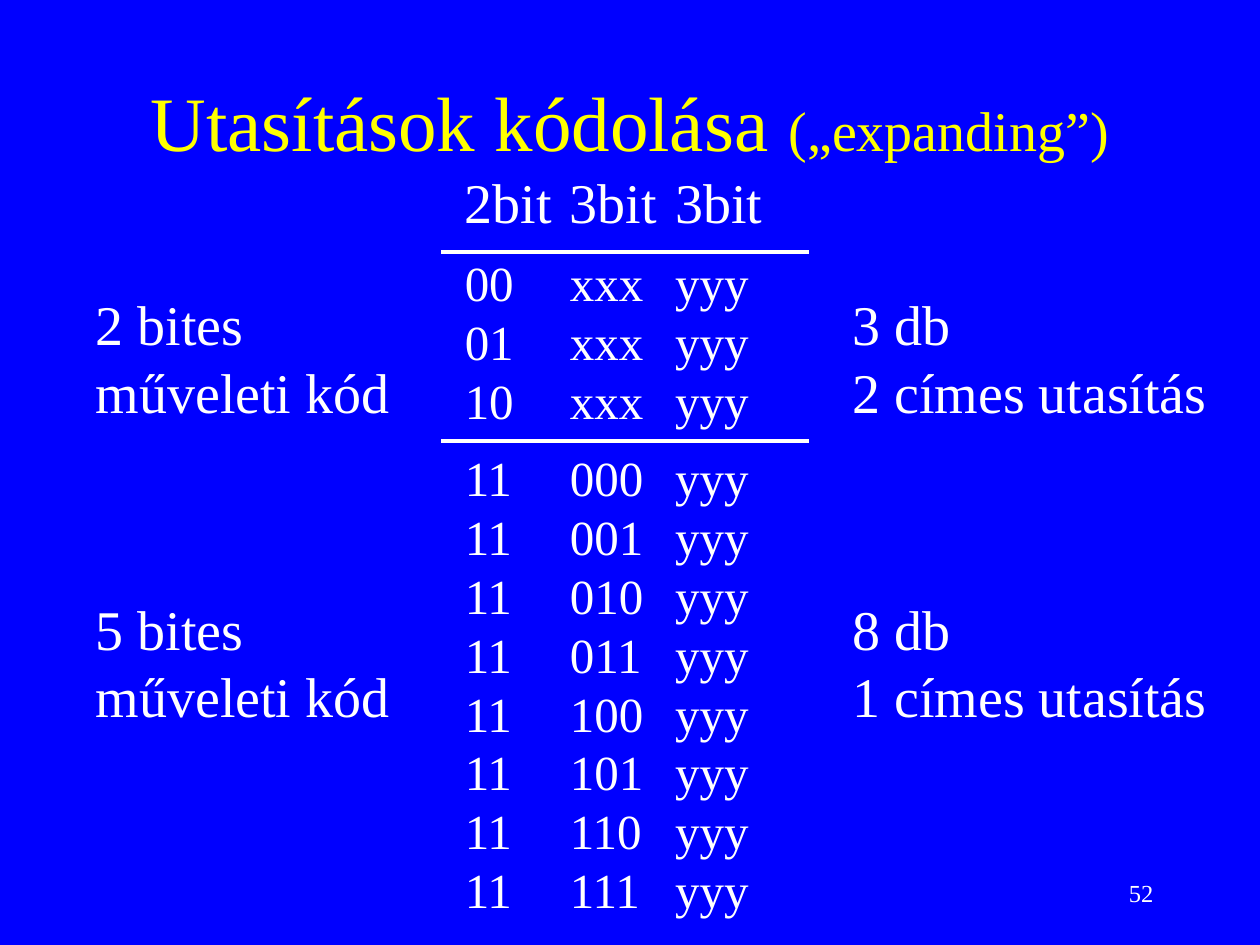
from lxml import etree
from pptx import Presentation
from pptx.dml.color import RGBColor
from pptx.enum.shapes import MSO_CONNECTOR as Connector
from pptx.enum.text import MSO_ANCHOR as Anchor, PP_ALIGN as Align
from pptx.oxml.ns import qn
from pptx.util import Cm, Pt

BLUE, YELLOW, WHITE = "0000FF", "FFFF00", "FFFFFF"
TAB_STEP = 2.12


def color(value):
    return RGBColor.from_string(value)


class SlideBuilder:
    font = "Times New Roman"

    def __init__(self, prs):
        self.s = prs.slides.add_slide(prs.slide_layouts[6])
        fill = self.s.background.fill
        fill.solid()
        fill.fore_color.rgb = color(BLUE)

    def text(self, box, paragraphs, ink=WHITE, align=Align.LEFT,
             anchor=Anchor.TOP, wrap=True, tabs=0, gaps=()):
        sp = self.s.shapes.add_textbox(*map(Cm, box))
        tf = sp.text_frame
        tf.word_wrap = wrap
        tf.vertical_anchor = anchor
        for i, runs in enumerate(paragraphs):
            p = tf.add_paragraph() if i else tf.paragraphs[0]
            p.alignment = align
            if tabs:
                self.tab_stops(p, tabs)
            if i in gaps:
                p.space_after = Pt(10.5)
            for words, size in runs:
                r = p.add_run()
                r.text = words
                r.font.name = self.font
                r.font.size = Pt(size)
                r.font.color.rgb = color(ink)

    def tab_stops(self, p, count):
        stops = etree.SubElement(p._p.get_or_add_pPr(), qn("a:tabLst"))
        for n in range(1, count + 1):
            etree.SubElement(stops, qn("a:tab"),
                             pos=str(int(Cm(n * TAB_STEP))), algn="l")

    def label(self, left, top, width, lines):
        self.text((left, top, width, 2.97), [[(line, 32)] for line in lines],
                  wrap=False)

    def rule(self, left, right, y):
        line = self.s.shapes.add_connector(
            Connector.STRAIGHT, Cm(left), Cm(y), Cm(right), Cm(y))
        line.line.color.rgb = color(WHITE)
        line.line.width = Pt(2.25)
        etree.SubElement(line._element.spPr, qn("a:effectLst"))


def main():
    prs = Presentation()
    prs.slide_width, prs.slide_height = Cm(25.4), Cm(19.05)
    slide = SlideBuilder(prs)

    slide.text((1.9, 0.85, 21.6, 3.18),
               [[("Utasítások kódolása ", 44), ("(„expanding”)", 32)]],
               ink=YELLOW, align=Align.CENTER, anchor=Anchor.MIDDLE)

    for top, bits, count, addresses in ((5.72, 2, 3, 2), (11.86, 5, 8, 1)):
        slide.label(16.93, top, 7.67,
                    (f"{count} db", f"{addresses} címes utasítás"))
        slide.label(1.68, top, 6.45, (f"{bits} bites", "műveleti kód"))

    codes = [(f"{n:02b}", "xxx", "yyy") for n in range(3)]
    codes += [("11", f"{n:03b}", "yyy") for n in range(8)]
    rows = [[("2bit\t3bit\t3bit", 32)]]
    rows += [[("\t".join(code), 28)] for code in codes]
    slide.text((9.12, 3.25, 6.86, 15.4), rows, tabs=3, gaps=(0, 3))

    for y in (5.08, 8.89):
        slide.rule(8.89, 16.3, y)

    slide.text((18.2, 17.36, 5.3, 1.27), [[("52", 14)]],
               align=Align.RIGHT, anchor=Anchor.MIDDLE)
    prs.save("out.pptx")


if __name__ == "__main__":
    main()
